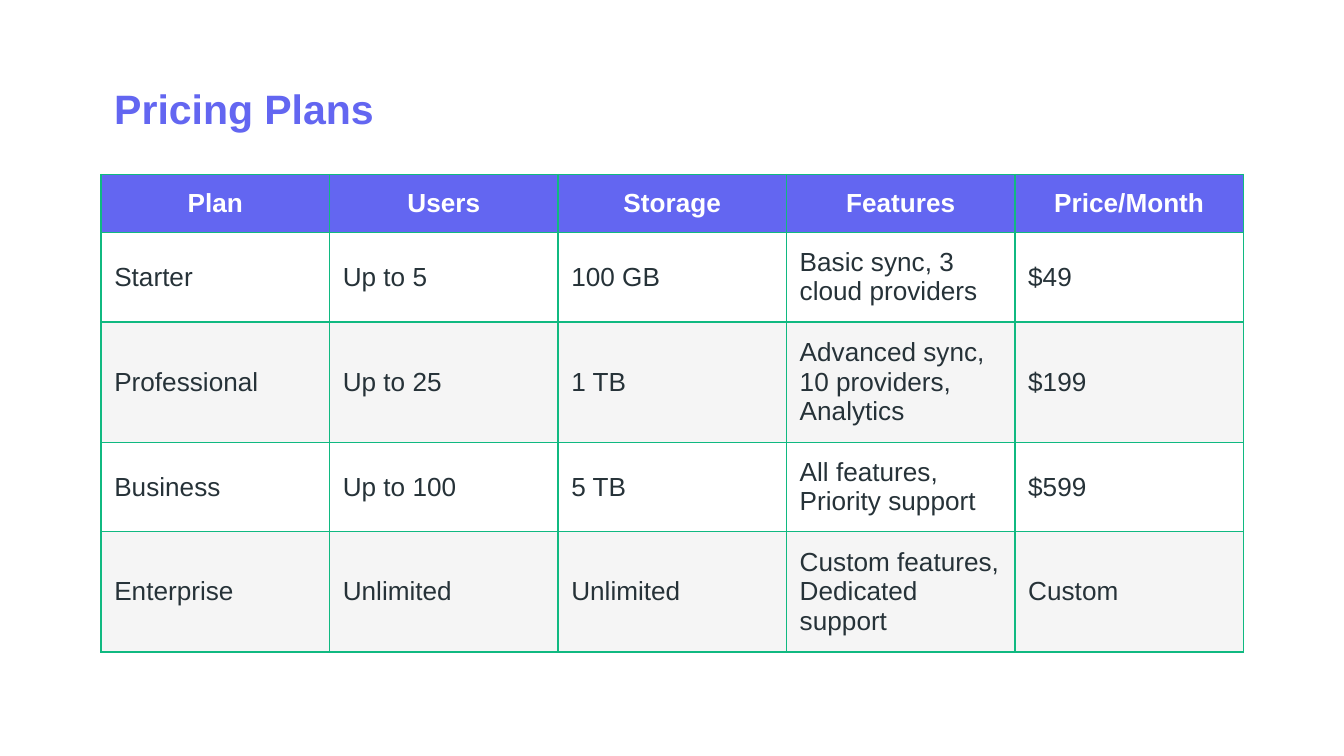
from dataclasses import astuple, dataclass

import pptx
import pptx.dml.color
import pptx.enum.text
import pptx.oxml
import pptx.oxml.ns
import pptx.util

Cm = pptx.util.Cm
Pt = pptx.util.Pt
ALIGN = pptx.enum.text.PP_ALIGN
MIDDLE = pptx.enum.text.MSO_ANCHOR.MIDDLE

VIOLET, GREEN, INK = "6366F1", "10B981", "263238"
WHITE, GREY = "FFFFFF", "F5F5F5"
LEFT, WIDTH = 1.91, 21.59
PAD = 0.25


@dataclass
class Plan:
    name: str
    users: str
    storage: str
    features: str
    price: str


HEAD = Plan("Plan", "Users", "Storage", "Features", "Price/Month")
PLANS = [
    Plan("Starter", "Up to 5", "100 GB", "Basic sync, 3 cloud providers", "$49"),
    Plan("Professional", "Up to 25", "1 TB",
         "Advanced sync, 10 providers, Analytics", "$199"),
    Plan("Business", "Up to 100", "5 TB", "All features, Priority support", "$599"),
    Plan("Enterprise", "Unlimited", "Unlimited",
         "Custom features, Dedicated support", "Custom"),
]


def paint(target, color: str) -> None:
    """Set a fill or a font to a solid hex colour."""
    if hasattr(target, "solid"):
        target.solid()
        target.fore_color.rgb = pptx.dml.color.RGBColor.from_string(color)
    else:
        target.color.rgb = pptx.dml.color.RGBColor.from_string(color)


def write(frame, text: str, *, size: int = 14, color: str = INK,
          bold: bool = False, align=ALIGN.LEFT) -> None:
    par = frame.paragraphs[0]
    par.alignment = align
    run = par.add_run()
    run.text = text
    run.font.name = "Arial"
    run.font.size = Pt(size)
    run.font.bold = bold
    paint(run.font, color)


def edge(cell, color: str, width: float) -> None:
    """Draw a line on all four sides of a table cell."""
    props = cell._tc.get_or_add_tcPr()
    for side in "LRTB":
        props.append(pptx.oxml.parse_xml(
            f'<a:ln{side} {pptx.oxml.ns.nsdecls("a")} w="{Pt(width)}">'
            f'<a:solidFill><a:srgbClr val="{color}"/></a:solidFill></a:ln{side}>'))


def fill_row(table, row: int, plan: Plan, back: str, **style) -> None:
    for col, text in enumerate(astuple(plan)):
        cell = table.cell(row, col)
        cell.vertical_anchor = MIDDLE
        cell.margin_left = cell.margin_right = Cm(PAD)
        cell.margin_top = cell.margin_bottom = Cm(PAD)
        edge(cell, GREEN, 1)
        paint(cell.fill, back)
        write(cell.text_frame, text, **style)


def main() -> None:
    deck = pptx.Presentation()
    deck.slide_width, deck.slide_height = Cm(25.4), Cm(14.29)
    slide = deck.slides.add_slide(deck.slide_layouts[6])
    paint(slide.background.fill, WHITE)

    # Title
    box = slide.shapes.add_textbox(Cm(LEFT), Cm(1.02), Cm(WIDTH), Cm(2.03))
    box.text_frame.word_wrap = True
    box.text_frame.vertical_anchor = MIDDLE
    write(box.text_frame, "Pricing Plans", size=22, color=VIOLET, bold=True)

    # Price table: rows grow to fit their text
    rows = len(PLANS) + 1
    grid = slide.shapes.add_table(rows, 5, Cm(LEFT), Cm(3.3),
                                  Cm(WIDTH), Cm(1.02 * rows))
    grid.height = Cm(10.67)
    fill_row(grid.table, 0, HEAD, VIOLET, color=WHITE, bold=True,
             align=ALIGN.CENTER)
    for row, plan in enumerate(PLANS, 1):
        fill_row(grid.table, row, plan, WHITE if row % 2 else GREY)

    deck.save("out.pptx")


if __name__ == "__main__":
    main()
